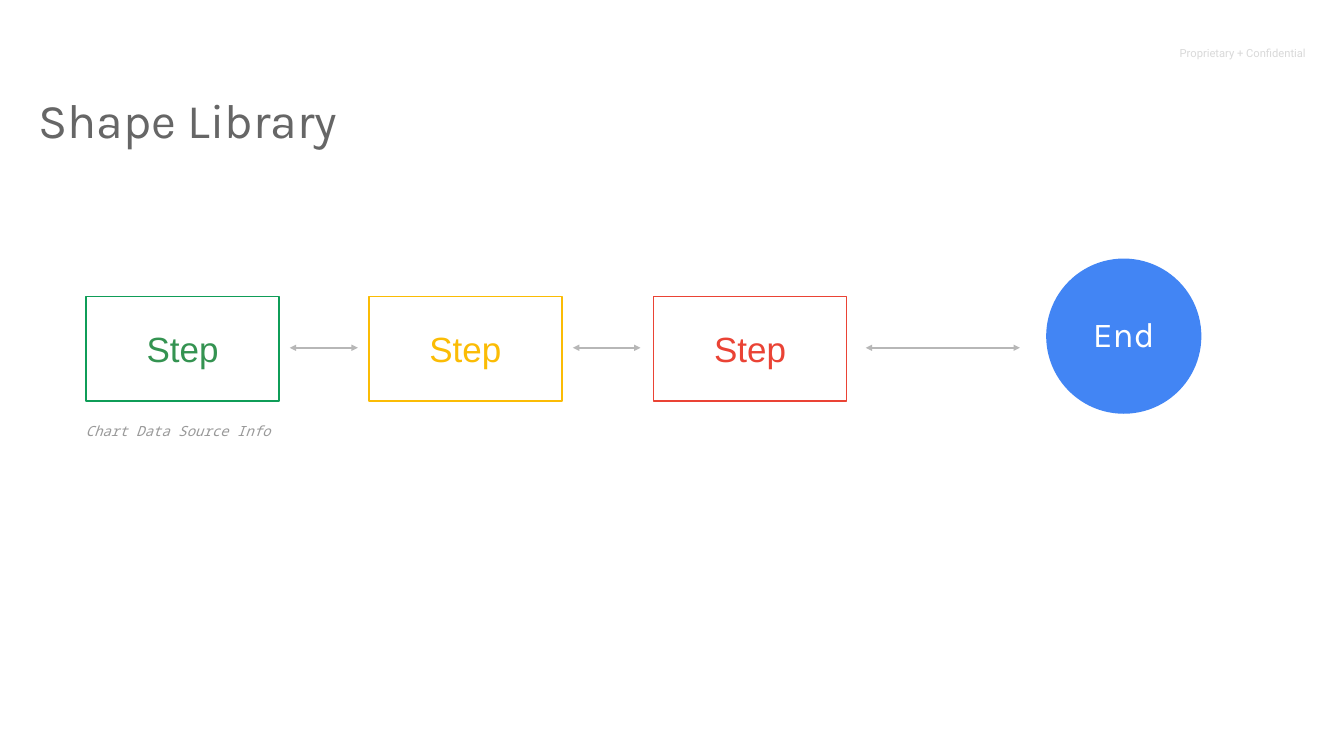
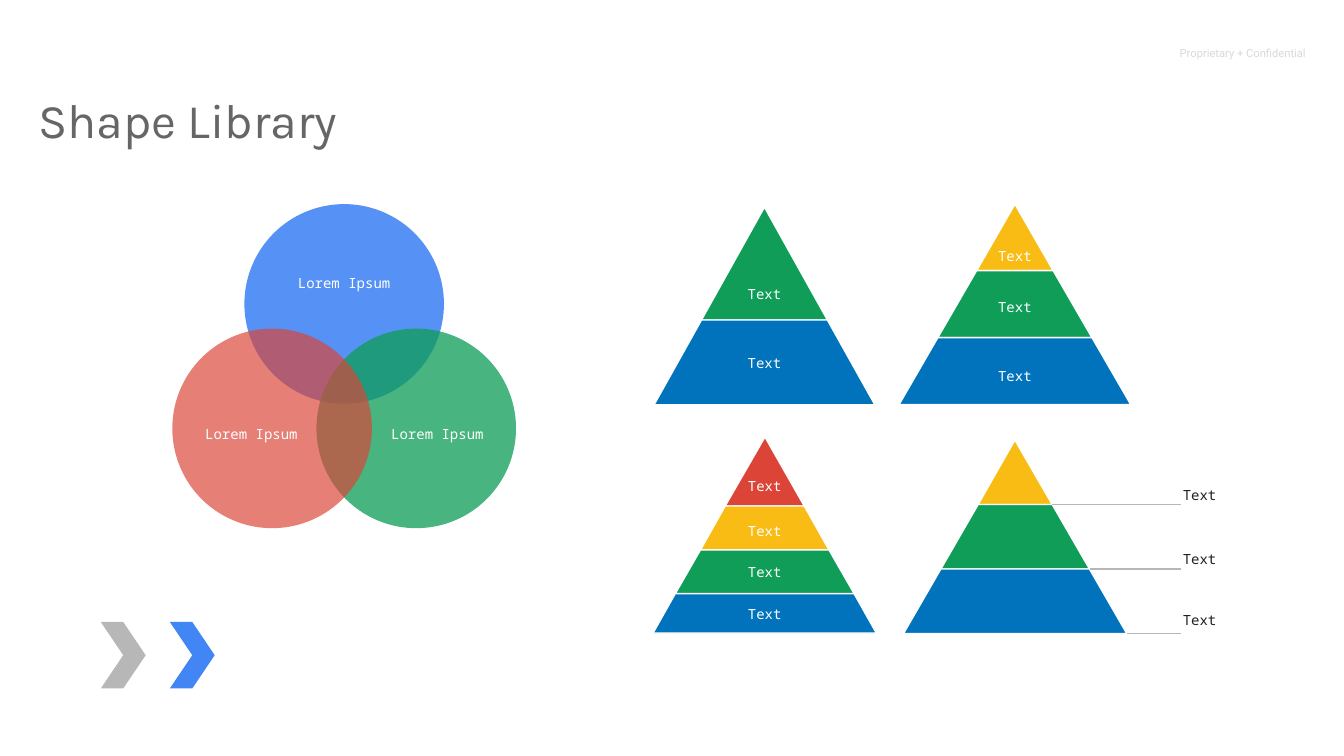
from lxml import etree
from pptx import Presentation
from pptx.dml.color import RGBColor
from pptx.enum.shapes import MSO_CONNECTOR, MSO_SHAPE
from pptx.enum.text import MSO_ANCHOR, MSO_AUTO_SIZE, PP_ALIGN
from pptx.oxml.ns import qn
from pptx.util import Pt

PX = 9144  # EMU per px, 100 px to the inch
LEFT, CENTER = PP_ALIGN.LEFT, PP_ALIGN.CENTER
TOP, MIDDLE = MSO_ANCHOR.TOP, MSO_ANCHOR.MIDDLE
NO_FIT = MSO_AUTO_SIZE.NONE
STRAIGHT = MSO_CONNECTOR.STRAIGHT
RECT, OVAL, CHEVRON = MSO_SHAPE.RECTANGLE, MSO_SHAPE.OVAL, MSO_SHAPE.CHEVRON
TITLE_BODY, TITLE_ONLY = 1, 5

SANS, HEAD, MONO, NOTE = "Arial", "Karla", "Noto Sans Mono", "Roboto"
COLORS = {
    "white": "FFFFFF", "ink": "202124", "title": "666666", "source": "999999",
    "line": "B7B7B7", "footer": "D9D9D9", "sky": "4285F4", "navy": "0073BC",
    "green": "0F9D58", "leaf": "349351", "yellow": "FBBC05", "gold": "F9BC15",
    "red": "EA4335", "brick": "DB4437",
}


def color(name):
    return RGBColor.from_string(COLORS[name])


def emu(*sizes):
    return [round(size * PX) for size in sizes]


def write(shape, text, size, font, tone, align=CENTER, anchor=MIDDLE,
          inset=0, spacing=1.0, italic=False):
    frame = shape.text_frame
    frame.word_wrap = True
    frame.auto_size = NO_FIT
    frame.vertical_anchor = anchor
    frame.margin_left = frame.margin_right = inset * PX
    frame.margin_top = frame.margin_bottom = inset * PX
    para = frame.paragraphs[0]
    para.alignment = align
    para.line_spacing = spacing
    para.space_before = Pt(0)
    run = para.add_run()
    run.text = text
    run.font.size = Pt(size)
    run.font.name = font
    run.font.italic = italic
    run.font.color.rgb = color(tone)


def place(shape, x, y, w, h):
    shape.left, shape.top, shape.width, shape.height = emu(x, y, w, h)


def paint(shape, fill=None, line=None, width=2, alpha=None):
    """Set fill and outline; alpha is the opacity in percent."""
    shape.shadow.inherit = False
    if fill:
        shape.fill.solid()
        shape.fill.fore_color.rgb = color(fill)
    else:
        shape.fill.background()
    if alpha:
        tone = shape.fill._xPr.find(qn("a:solidFill"))[0]
        etree.SubElement(tone, qn("a:alpha"), val=str(alpha * 1000))
    if line:
        shape.line.color.rgb = color(line)
        shape.line.width = Pt(width)
    else:
        shape.line.fill.background()


def draw(shapes, kind, x, y, w, h, **style):
    shape = shapes.add_shape(kind, *emu(x, y, w, h))
    paint(shape, **style)
    return shape


def label(shapes, text, x, y, w, tone="white", spacing=0.95):
    box = shapes.add_textbox(*emu(x, y, w, 42))
    write(box, text, 20, MONO, tone, spacing=spacing)


def rule(shapes, start, end, y, width=2, arrows=False):
    """Draw a level line, with arrowheads at both ends if asked."""
    line = shapes.add_connector(STRAIGHT, *emu(start, y, end, y))
    line.line.color.rgb = color("line")
    line.line.width = Pt(width)
    props = line._element.spPr
    if arrows:
        for tag in ("a:headEnd", "a:tailEnd"):
            etree.SubElement(props.find(qn("a:ln")), qn(tag), type="triangle")
    etree.SubElement(props, qn("a:effectLst"))


def reach(levels, half, y):
    """Give half the width of a pyramid at height y."""
    return half * (y - levels[0]) / (levels[-1] - levels[0])


def pyramid(shapes, mid, half, levels, tones):
    for top, base, tone in zip(levels, levels[1:], tones):
        a, b = reach(levels, half, top), reach(levels, half, base)
        points = list(dict.fromkeys([
            (mid - a, top), (mid + a, top), (mid + b, base), (mid - b, base)]))
        path = shapes.build_freeform(*points[0], scale=PX)
        path.add_line_segments(points[1:], close=True)
        paint(path.convert_to_shape(), fill=tone, line="white")


def start(deck, layout):
    """Add a slide with the shared title and footer."""
    slide = deck.slides.add_slide(deck.slide_layouts[layout])
    note = slide.shapes.add_textbox(*emu(2314, 64, 353, 80))
    write(note, "Proprietary + Confidential", 16, NOTE, "footer",
          LEFT, TOP, 27)
    title = slide.shapes.title
    place(title, 49, 152, 1929, 220)
    write(title, "Shape Library", 69, HEAD, "title", LEFT, TOP, 27)
    return slide


def flow(deck):
    slide = start(deck, TITLE_BODY)
    shapes = slide.shapes
    steps = [(171, "green", "leaf"), (732, "yellow", "yellow"),
             (1297, "red", "red")]
    for x, edge, tone in steps:
        box = draw(shapes, RECT, x, 588, 383, 208, line=edge, width=2.25)
        write(box, "Step", 50, SANS, tone, inset=10)
    for left, right in [(575, 710), (1137, 1271), (1718, 2024)]:
        rule(shapes, left, right, 690, 3, arrows=True)
    end = draw(shapes, OVAL, 2076, 513, 308, 308, fill="sky")
    write(end, "End", 50, HEAD, "white", spacing=0.9)

    body = slide.placeholders[1]
    place(body, 160, 820, 504, 117)
    props = body.text_frame.paragraphs[0]._p.get_or_add_pPr()
    props.set("marL", "0")
    props.set("indent", "0")
    etree.SubElement(props, qn("a:buNone"))
    write(body, "Chart Data Source Info", 20, MONO, "source",
          LEFT, TOP, 10, 1.25, italic=True)


def venn(shapes):
    group = shapes.add_group_shape().shapes
    rings = [(485, 405, "sky", 89, 538, 542, 290),
             (628, 652, "green", 76, 749, 842, 238),
             (342, 652, "brick", 68, 380, 842, 238)]
    for x, y, tone, alpha, left, top, wide in rings:
        draw(group, OVAL, x, y, 396, 396, fill=tone, alpha=alpha)
        label(group, "Lorem Ipsum", left, top, wide, spacing=0.9)


def library(deck):
    shapes = start(deck, TITLE_ONLY).shapes
    tiers = ["brick", "gold", "green", "navy"]
    # middle, half of base, levels, (top, width) of each label
    stacks = [
        (2014, 229.5, [405, 537, 670, 803],
         [(489, 116), (590, 193), (726, 355)]),
        (1517.5, 221.5, [867, 1004, 1091, 1178, 1256],
         [(945, 89), (1033, 191), (1116, 287), (1198, 374)]),
        (1517, 219, [411, 635, 803], [(564, 116), (701, 268)]),
    ]
    for mid, half, levels, texts in stacks:
        pyramid(shapes, mid, half, levels, tiers[1 - len(levels):])
        for top, wide in texts:
            label(shapes, "Text", mid - wide / 2, top, wide)

    mid, half, levels = 2014.5, 221.5, [873, 1001, 1129, 1257]
    pyramid(shapes, mid, half, levels, tiers[1:])
    for y, top in zip(levels[1:], [963, 1090, 1210]):
        label(shapes, "Text", 2336, top, 89, "ink")
        rule(shapes, mid + reach(levels, half, y), 2344, y)

    venn(shapes)
    for x, tone in [(200, "line"), (337, "sky")]:
        draw(shapes, CHEVRON, x, 1234, 89, 132, fill=tone)


def main():
    deck = Presentation()
    deck.slide_width, deck.slide_height = emu(2667, 1500)
    flow(deck)
    library(deck)
    deck.save("out.pptx")


if __name__ == "__main__":
    main()
